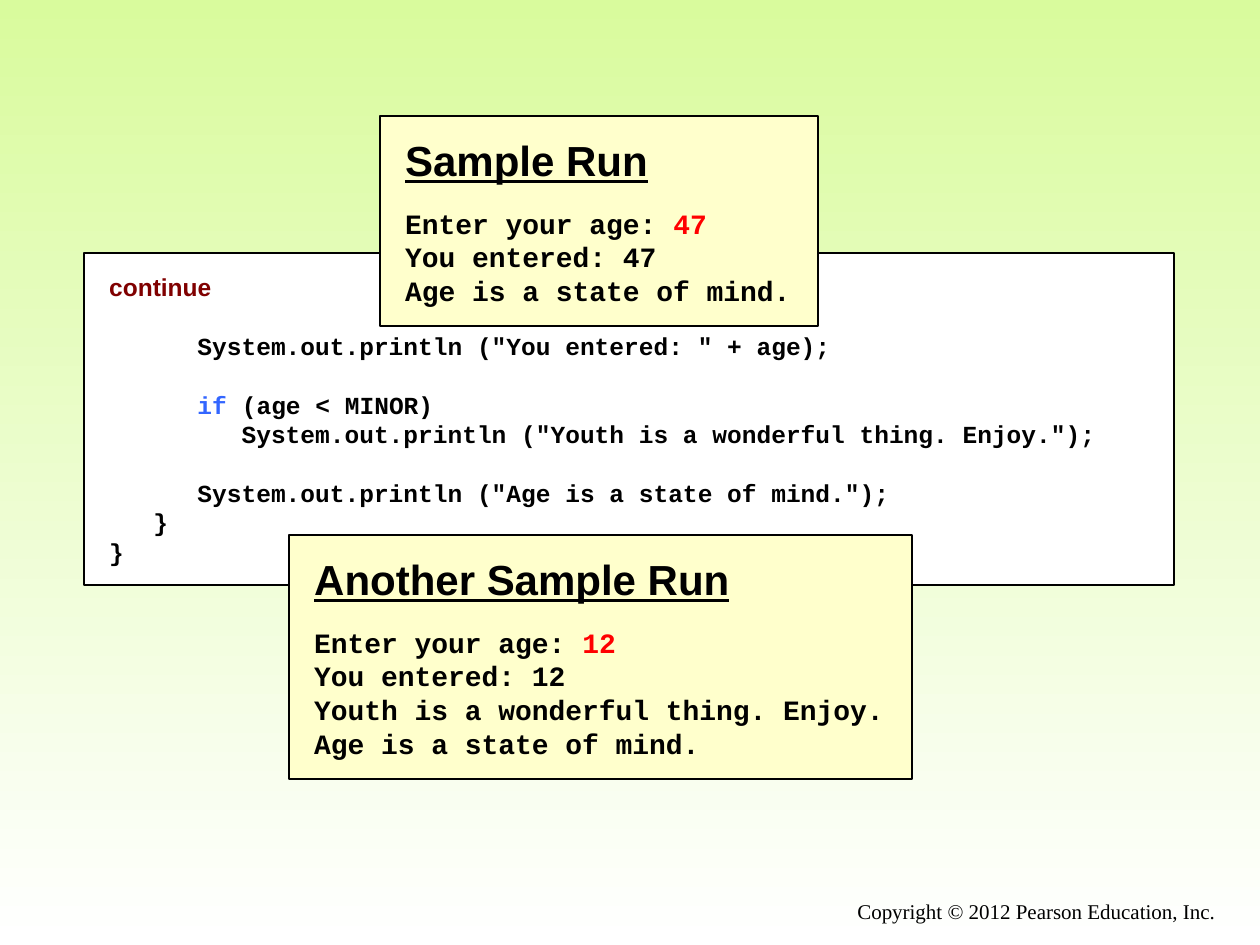
from pptx import Presentation
from pptx.dml.color import RGBColor
from pptx.enum.shapes import MSO_SHAPE
from pptx.enum.text import MSO_ANCHOR, MSO_AUTO_SIZE, PP_ALIGN
from pptx.util import Emu, Pt

PX = 914400 / 126
BLACK = RGBColor(0x00, 0x00, 0x00)
WHITE = RGBColor(0xFF, 0xFF, 0xFF)
LIME = RGBColor(0xD9, 0xFB, 0x9D)
CREAM = RGBColor(0xFF, 0xFF, 0xCC)
MAROON = RGBColor(0x80, 0x00, 0x00)
BLUE = RGBColor(0x33, 0x66, 0xFF)
RED = RGBColor(0xFF, 0x00, 0x00)


def px(*lengths):
    return [Emu(round(length * PX)) for length in lengths]


def add_text(para, text, font="Courier New", size=14, color=BLACK, bold=True, underline=False):
    span = para.add_run()
    span.text = text
    span.font.name = font
    span.font.size = Pt(size)
    span.font.color.rgb = color
    span.font.bold = bold
    span.font.underline = underline


deck = Presentation()
deck.slide_width, deck.slide_height = px(1260, 945)
page = deck.slides.add_slide(deck.slide_layouts[6])

# Background, lime at the top fading to white
backdrop = page.background.fill
backdrop.gradient()
backdrop.gradient_angle = 270
for stop, color, position in zip(backdrop.gradient_stops, (LIME, WHITE), (0, 1)):
    stop.color.rgb = color
    stop.position = position

# Copyright line
footer = page.shapes.add_textbox(*px(462, 892, 766, 43)).text_frame
footer.word_wrap = True
footer.paragraphs[0].alignment = PP_ALIGN.RIGHT
add_text(footer.paragraphs[0], "Copyright © 2012 Pearson Education, Inc.",
         font="Times New Roman", size=12, bold=False)

# Panels: the code listing, then the two sample runs over it
frames = []
for place, color, wrap in [
    ((84, 253, 1090, 332), WHITE, True),
    ((380, 116, 438, 210), CREAM, False),
    ((289, 535, 623, 244), CREAM, False),
]:
    panel = page.shapes.add_shape(MSO_SHAPE.RECTANGLE, *px(*place))
    panel.shadow.inherit = False
    panel.fill.solid()
    panel.fill.fore_color.rgb = color
    panel.line.color.rgb = BLACK
    panel.line.width = Pt(0.75)
    frame = panel.text_frame
    frame.word_wrap = wrap
    frame.auto_size = MSO_AUTO_SIZE.SHAPE_TO_FIT_TEXT
    frame.vertical_anchor = MSO_ANCHOR.TOP
    frame.margin_left = frame.margin_right = Pt(14.4)
    frame.margin_top = frame.margin_bottom = Pt(10.8)
    frame.paragraphs[0].alignment = PP_ALIGN.LEFT
    frames.append(frame)
listing, *runs = frames

# Code lines, each with whether a gap comes before it
add_text(listing.paragraphs[0], "continue", font="Arial", color=MAROON)
for parts, gap in [
    ([('      System.out.println ("You entered: " + age);', BLACK)], True),
    ([("      if ", BLUE), ("(age < MINOR)", BLACK)], True),
    ([('         System.out.println ("Youth is a wonderful thing. Enjoy.");', BLACK)], False),
    ([('      System.out.println ("Age is a state of mind.");', BLACK)], True),
    ([("   }", BLACK)], False),
    ([("}", BLACK)], False),
]:
    para = listing.add_paragraph()
    para.alignment = PP_ALIGN.LEFT
    para.space_before = Pt(16.8 if gap else 0)
    for text, color in parts:
        add_text(para, text, color=color)

# Sample runs, with the typed age in red
for frame, title, age, replies in [
    (runs[0], "Sample Run", "47", ["Age is a state of mind."]),
    (runs[1], "Another Sample Run", "12",
     ["Youth is a wonderful thing. Enjoy.", "Age is a state of mind."]),
]:
    heading = frame.paragraphs[0]
    heading.space_after = Pt(12)
    add_text(heading, title, font="Arial", size=24, underline=True)
    for text in ["Enter your age: ", f"You entered: {age}", *replies]:
        para = frame.add_paragraph()
        para.alignment = PP_ALIGN.LEFT
        add_text(para, text, size=16)
    add_text(frame.paragraphs[1], age, size=16, color=RED)

deck.save("out.pptx")
